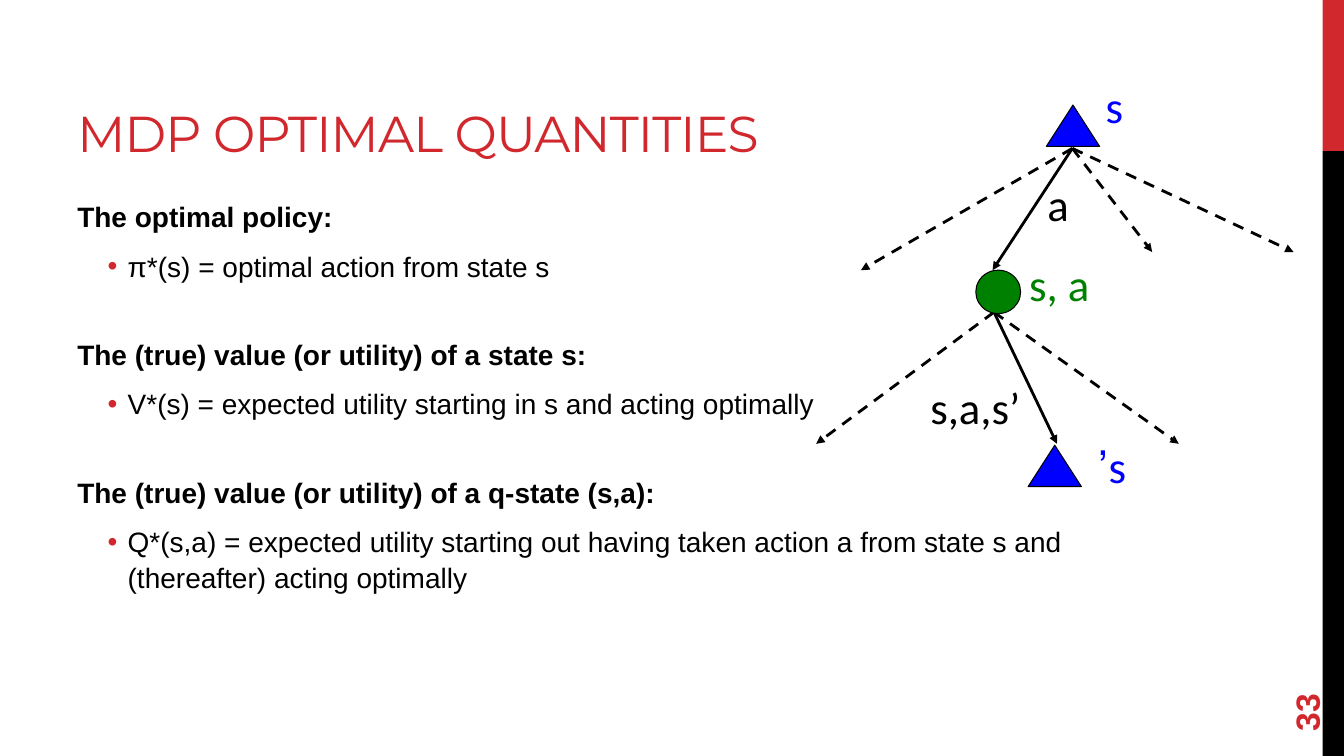
from dataclasses import dataclass

from lxml.etree import SubElement
from pptx import Presentation
from pptx.dml.color import RGBColor
from pptx.enum.dml import MSO_LINE_DASH_STYLE as Dash
from pptx.enum.shapes import MSO_CONNECTOR, MSO_SHAPE as Preset
from pptx.enum.text import MSO_ANCHOR as Anchor, MSO_AUTO_SIZE as AutoSize, PP_ALIGN as Align
from pptx.oxml.ns import qn
from pptx.util import Pt


@dataclass(frozen=True)
class Theme:
    red: str = "D1282E"
    black: str = "000000"
    blue: str = "0000FF"
    green: str = "008000"
    title_font: str = "Montserrat"
    body_font: str = "Arial"
    label_font: str = "Calibri"
    title_size: int = 36
    body_size: int = 20
    number_size: int = 24
    label_size: int = 32


THEME = Theme()

POLICY_NOTES = [
    ("The optimal policy:", "π*(s) = optimal action from state s"),
    ("The (true) value (or utility) of a state s:",
     "V*(s) = expected utility starting in s and acting optimally"),
    ("The (true) value (or utility) of a q-state (s,a):",
     "Q*(s,a) = expected utility starting out having taken action a "
     "from state s and (thereafter) acting optimally"),
]


def set_values(target, values):
    for name, value in values.items():
        setattr(target, name, value)


def place(shape, left, top, width, height):
    set_values(shape, {"left": Pt(left), "top": Pt(top),
                       "width": Pt(width), "height": Pt(height)})


def add_text(paragraph, text, font, size, color, bold=False):
    run = paragraph.add_run()
    run.text = text
    set_values(run.font, {"name": font, "size": Pt(size), "bold": bold})
    run.font.color.rgb = RGBColor.from_string(color)
    return run


def add_solid(slide, preset, box, color, outlined=False):
    shape = slide.shapes.add_shape(preset, *map(Pt, box))
    shape.shadow.inherit = False
    shape.fill.solid()
    shape.fill.fore_color.rgb = RGBColor.from_string(color)
    if outlined:
        shape.line.color.rgb = RGBColor.from_string(THEME.black)
        shape.line.width = Pt(0.75)
    else:
        shape.line.fill.background()


def add_side_band(slide, left, top, width, height):
    red_height = height / 5
    add_solid(slide, Preset.RECTANGLE, (left, top, width, red_height), THEME.red)
    add_solid(slide, Preset.RECTANGLE,
              (left, top + red_height, width, height - red_height), THEME.black)


def fill_title(slide, *box):
    title = slide.shapes.title
    place(title, *box)
    set_values(title.text_frame, {"vertical_anchor": Anchor.BOTTOM,
                                  "auto_size": AutoSize.NONE, "word_wrap": True})
    paragraph = title.text_frame.paragraphs[0]
    paragraph.alignment = Align.LEFT
    run = add_text(paragraph, "MDP OPTIMAL QUANTITIES",
                   THEME.title_font, THEME.title_size, THEME.red)
    run.font._element.set("spc", "-60")


def set_bullet(paragraph, margin=0, hanging=0, character=None):
    """Set the indent, and a red bullet when a character is given."""
    properties = paragraph._p.get_or_add_pPr()
    properties.set("marL", str(Pt(margin)))
    properties.set("indent", str(-Pt(hanging)))
    if character is None:
        SubElement(properties, qn("a:buNone"))
        return
    color = SubElement(properties, qn("a:buClr"))
    SubElement(color, qn("a:srgbClr"), val=THEME.red)
    SubElement(properties, qn("a:buFont"), typeface=THEME.body_font)
    SubElement(properties, qn("a:buChar"), char=character)


def fill_body(slide, *box):
    body = slide.placeholders[1]
    place(body, *box)
    frame = body.text_frame
    set_values(frame, {"auto_size": AutoSize.NONE, "word_wrap": True})
    for index, (heading, definition) in enumerate(POLICY_NOTES):
        first = frame.add_paragraph() if index else frame.paragraphs[0]
        second = frame.add_paragraph()
        set_values(first, {"space_before": Pt(38 if index else 0),
                           "space_after": Pt(6), "line_spacing": 1.05})
        set_values(second, {"level": 1, "space_before": Pt(4),
                            "space_after": Pt(0), "line_spacing": 1.05})
        set_bullet(first)
        set_bullet(second, margin=36, hanging=14.4, character="•")
        add_text(first, heading, THEME.body_font, THEME.body_size, THEME.black, bold=True)
        add_text(second, definition, THEME.body_font, THEME.body_size, THEME.black)


def add_slide_number(slide, *box):
    number = slide.shapes.add_textbox(*map(Pt, box))
    number.rotation = 270
    set_values(number.text_frame, {"vertical_anchor": Anchor.MIDDLE, "word_wrap": True})
    add_text(number.text_frame.paragraphs[0], "33", THEME.body_font,
             THEME.number_size, THEME.red, bold=True)


def add_arrow(slide, start, end, dashed):
    arrow = slide.shapes.add_connector(MSO_CONNECTOR.STRAIGHT, *map(Pt, (*start, *end)))
    arrow.line.color.rgb = RGBColor.from_string(THEME.black)
    arrow.line.width = Pt(2)
    if dashed:
        arrow.line.dash_style = Dash.DASH
    SubElement(arrow.line._get_or_add_ln(), qn("a:tailEnd"), type="triangle")
    SubElement(arrow._element.spPr, qn("a:effectLst"))


def add_label(slide, text, box, color, right_to_left=False):
    label = slide.shapes.add_textbox(*map(Pt, box))
    label.text_frame.word_wrap = True
    paragraph = label.text_frame.paragraphs[0]
    if right_to_left:
        paragraph.alignment = Align.RIGHT
        paragraph._p.get_or_add_pPr().set("rtl", "1")
    add_text(paragraph, text, THEME.label_font, THEME.label_size, color)


def add_search_tree(slide, left, top):
    """Draw state, q-state and next state, with the branches between them."""
    def at(x, y, *size):
        return (left + x, top + y, *size)

    add_solid(slide, Preset.ISOSCELES_TRIANGLE, at(164.4, 22, 38, 29.5), THEME.blue, True)
    branches = [
        ((183, 53), (126, 140), [(32, 140), (341, 127), (240, 127)]),
        ((127, 170), (172, 264), [(0, 264), (259, 264)]),
    ]
    for start, chosen, others in branches:
        for end in [*others, chosen]:
            add_arrow(slide, at(*start), at(*end), dashed=end != chosen)
    add_solid(slide, Preset.ISOSCELES_TRIANGLE, at(151.4, 265, 38, 29.5), THEME.blue, True)
    add_solid(slide, Preset.OVAL, at(114, 140, 32, 31), THEME.green, True)

    labels = [
        ("s", 199.6, 0, 32, THEME.blue),
        ("a", 158, 70, 32, THEME.black),
        ("s, a", 145, 127, 137, THEME.green),
        ("s,a,s’", 74.4, 215, 123, THEME.black),
    ]
    for text, x, y, width, color in labels:
        add_label(slide, text, at(x, y, width, 46), color)
    add_label(slide, "s’", at(147, 256.6, 81.4, 46), THEME.blue, right_to_left=True)


def main():
    presentation = Presentation()
    set_values(presentation, {"slide_width": Pt(960), "slide_height": Pt(540)})
    slide = presentation.slides.add_slide(presentation.slide_layouts[1])
    add_side_band(slide, 944.8, 0, 15.2, 540)
    fill_title(slide, 48, 12, 608, 108)
    fill_body(slide, 48, 138, 800, 344)
    add_slide_number(slide, 881.3, 458.6, 103.7, 38.2)
    add_search_tree(slide, 583, 53)
    presentation.save("out.pptx")


if __name__ == "__main__":
    main()
